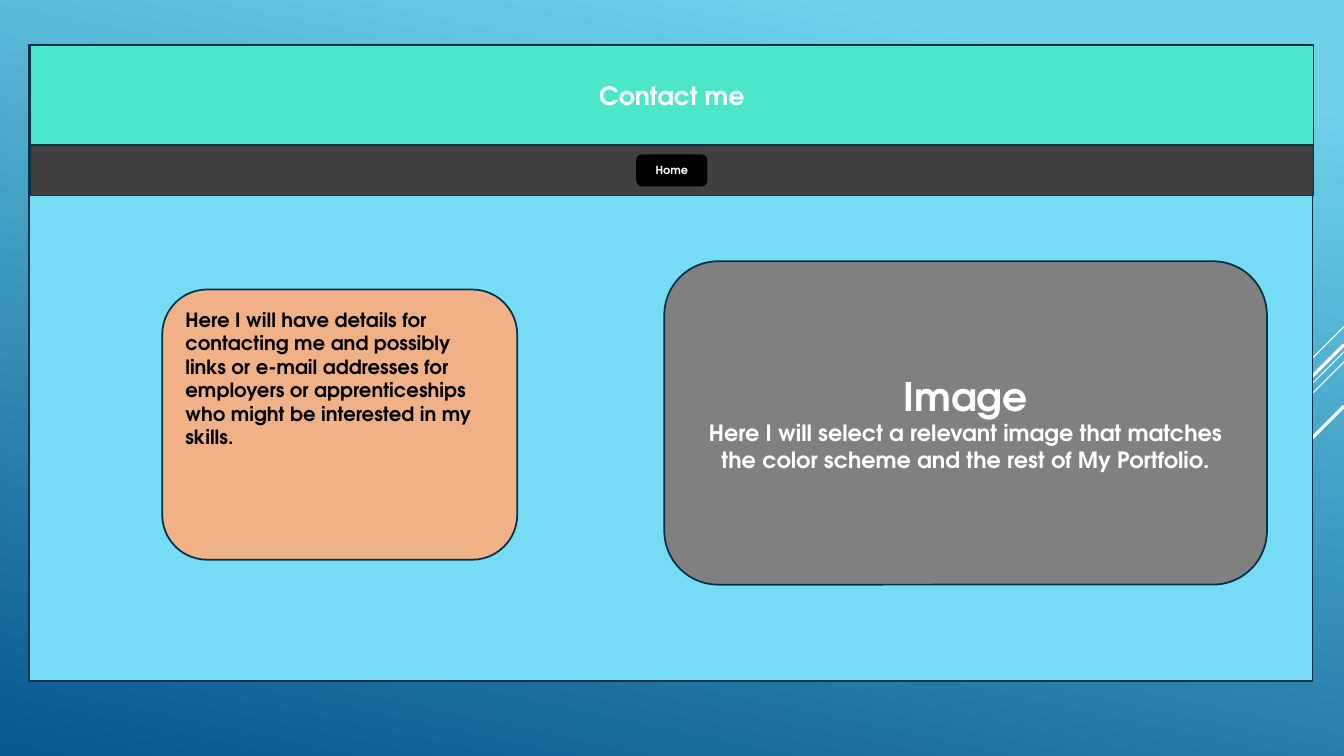
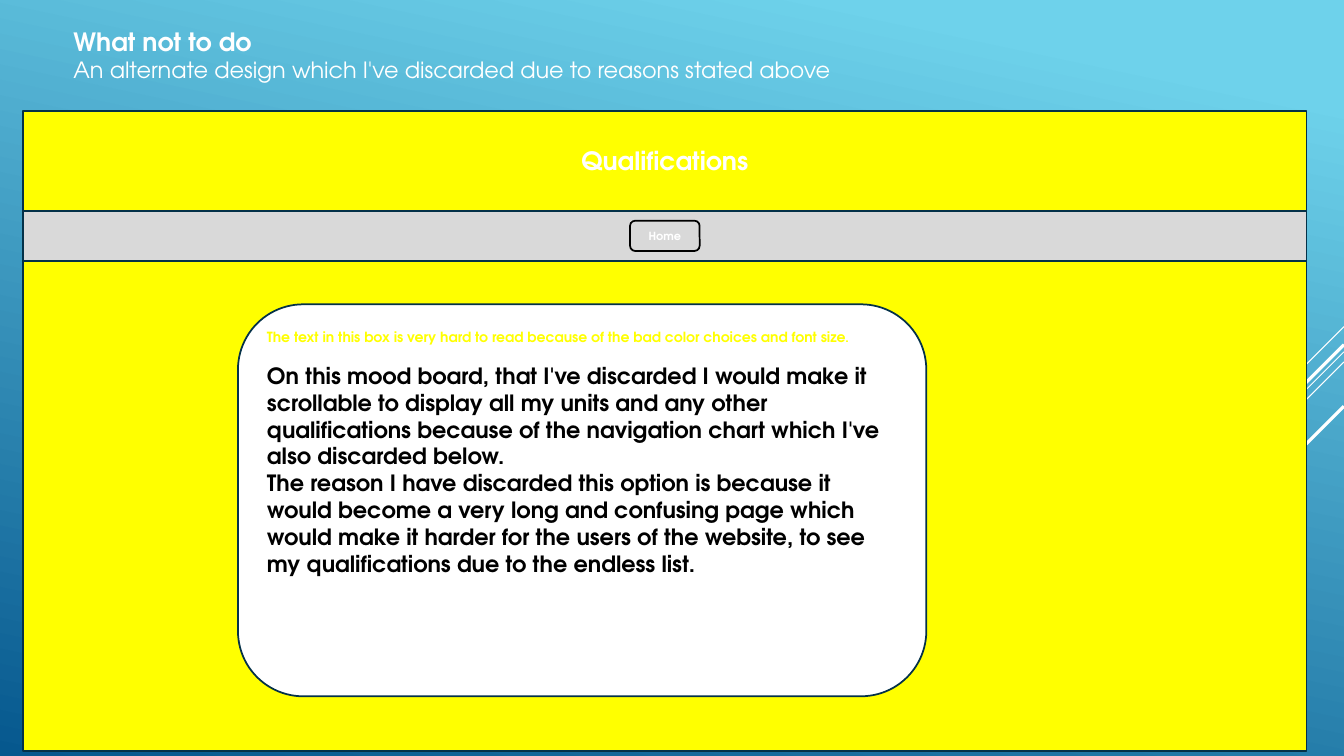
from pptx import Presentation
from pptx.dml.color import RGBColor
from pptx.enum.shapes import MSO_CONNECTOR as Conn, MSO_SHAPE as Geo
from pptx.enum.text import MSO_ANCHOR as Anchor, PP_ALIGN as Align
from pptx.oxml.ns import qn
from pptx.util import Pt
from lxml.etree import SubElement

FONT = "TeX Gyre Adventor"
SKY = RGBColor(0x6E, 0xD2, 0xEB)
DEEP = RGBColor(0x06, 0x58, 0x8E)
NAVY = RGBColor(0x04, 0x31, 0x48)
AQUA = RGBColor(0x76, 0xDB, 0xF4)
MINT = RGBColor(0x4B, 0xE7, 0xC8)
PEACH = RGBColor(0xF1, 0xB1, 0x87)
GREY = RGBColor(0x80, 0x80, 0x80)
DARK = RGBColor(0x40, 0x40, 0x40)
PALE = RGBColor(0xD9, 0xD9, 0xD9)
YELLOW = RGBColor(0xFF, 0xFF, 0x00)
WHITE = RGBColor(0xFF, 0xFF, 0xFF)
BLACK = RGBColor(0x00, 0x00, 0x00)

WIDTH, HEIGHT = 960, 540
SITE_W, SITE_H = 916.6, 454.3
HEAD_H, NAV_H = 71.3, 36
HOME_W, HOME_H = 49.7, 21.6

# Diagonal rays from the right edge: start height, run, weight
RAYS = [
    (233.3, 72, 0.75),
    (251.3, 234.7, 0.75),
    (258.5, 149.4, 0.75),
    (246.2, 137.5, 2.25),
    (290.2, 100, 2.25),
]


def style(size, color=WHITE, bold=True):
    return {"name": FONT, "size": Pt(size), "bold": bold, "color": color}


def write(frame, paras, align=Align.LEFT, anchor=Anchor.TOP, gap=0):
    """Fill a frame; each paragraph is a list of (text, format) runs."""
    frame.word_wrap = True
    frame.vertical_anchor = anchor
    for i, runs in enumerate(paras):
        para = frame.paragraphs[0] if i == 0 else frame.add_paragraph()
        para.alignment = align
        if i == 1 and gap:
            para.space_before = Pt(gap)
        for text, fmt in runs:
            run = para.add_run()
            run.text = text
            for key, value in fmt.items():
                if key == "color":
                    run.font.color.rgb = value
                else:
                    setattr(run.font, key, value)


def add_box(slide, geo, at, fill, edge=NAVY):
    box = slide.shapes.add_shape(geo, *map(Pt, at))
    box.shadow.inherit = False
    box.fill.solid()
    box.fill.fore_color.rgb = fill
    box.line.color.rgb = edge
    box.line.width = Pt(1.25)
    return box


def add_label(slide, geo, at, fill, paras, edge=NAVY):
    box = add_box(slide, geo, at, fill, edge)
    write(box.text_frame, paras, Align.CENTER, Anchor.MIDDLE)


def add_card(slide, at, fill, paras, gap=0):
    box = add_box(slide, Geo.ROUNDED_RECTANGLE, at, fill)
    write(box.text_frame, paras, gap=gap)


def add_ray(slide, top, run, weight):
    ends = (WIDTH, top, WIDTH - run, top + run)
    ray = slide.shapes.add_connector(Conn.STRAIGHT, *map(Pt, ends))
    ray.line.color.rgb = WHITE
    ray.line.width = Pt(weight)
    SubElement(ray._element.spPr, qn("a:effectLst"))


def add_slide(deck):
    """Start a blank slide with the shared gradient and rays."""
    slide = deck.slides.add_slide(deck.slide_layouts[6])
    fill = slide.background.fill
    fill.gradient()
    fill.gradient_angle = 258
    for stop, color, pos in zip(fill.gradient_stops, (SKY, DEEP), (0.1, 1)):
        stop.color.rgb = color
        stop.position = pos
    for ray in RAYS:
        add_ray(slide, *ray)
    return slide


def add_site(slide, page, left, top, title, fills):
    """Draw the mock web page: body, header, menu bar and Home button."""
    body, head, menu, home = fills
    nav = top + HEAD_H
    add_box(slide, Geo.RECTANGLE, (*page, SITE_W, SITE_H), body)
    add_label(slide, Geo.RECTANGLE, (left, top, SITE_W, HEAD_H), head,
              [[(title, style(18))]])
    add_box(slide, Geo.RECTANGLE, (left, nav, SITE_W, NAV_H), menu)
    at = (left + (SITE_W - HOME_W) / 2, nav + (NAV_H - HOME_H) / 2,
          HOME_W, HOME_H)
    add_label(slide, Geo.ROUNDED_RECTANGLE, at, home,
              [[("Home", style(8))]], BLACK)


def add_contact(deck):
    slide = add_slide(deck)
    add_site(slide, (21, 32.4), 21.6, 32.4, "Contact me",
             (AQUA, MINT, DARK, BLACK))
    add_card(slide, (115.9, 206.8, 253.6, 193), PEACH, [[(
        "Here I will have details for contacting me and possibly links or "
        "e-mail addresses for employers or apprenticeships who might be "
        "interested in my skills.", style(14, BLACK))]])
    add_label(slide, Geo.ROUNDED_RECTANGLE, (474.5, 186.6, 430.5, 231), GREY, [
        [("Image", style(28))],
        [("Here I will select a relevant image that matches the color scheme "
          "and the rest of My Portfolio.", style(16))],
    ])


def add_discard(deck):
    slide = add_slide(deck)
    add_site(slide, (16.6, 82), 16.6, 79.2, "Qualifications",
             (YELLOW, YELLOW, PALE, PALE))
    body = style(16, BLACK)
    add_card(slide, (170, 217.4, 491.7, 280), WHITE, [
        [("The text in this box is very hard to read because of the bad "
          "color choices and font size", style(10, YELLOW)),
         (".", style(9, YELLOW))],
        [("On this mood board, that I've discarded I would make it scrollable "
          "to display all my units and any other qualifications because of "
          "the navigation chart which I've also discarded below.", body)],
        [("The reason I have discarded this option is because it would become "
          "a very long and confusing page which would make it harder for the "
          "users of the website, to see my qualifications due to the endless "
          "list.", body)],
    ], gap=12)

    # Slide heading
    note = slide.shapes.add_textbox(Pt(45.4), Pt(15.1), Pt(865.4), Pt(48.2))
    write(note.text_frame, [
        [("What not to do", style(18))],
        [("An alternate design which I've discarded due to reasons stated "
          "above", style(16, bold=False))],
    ])


def main():
    deck = Presentation()
    deck.slide_width, deck.slide_height = Pt(WIDTH), Pt(HEIGHT)
    add_contact(deck)
    add_discard(deck)
    deck.save("out.pptx")


if __name__ == "__main__":
    main()
